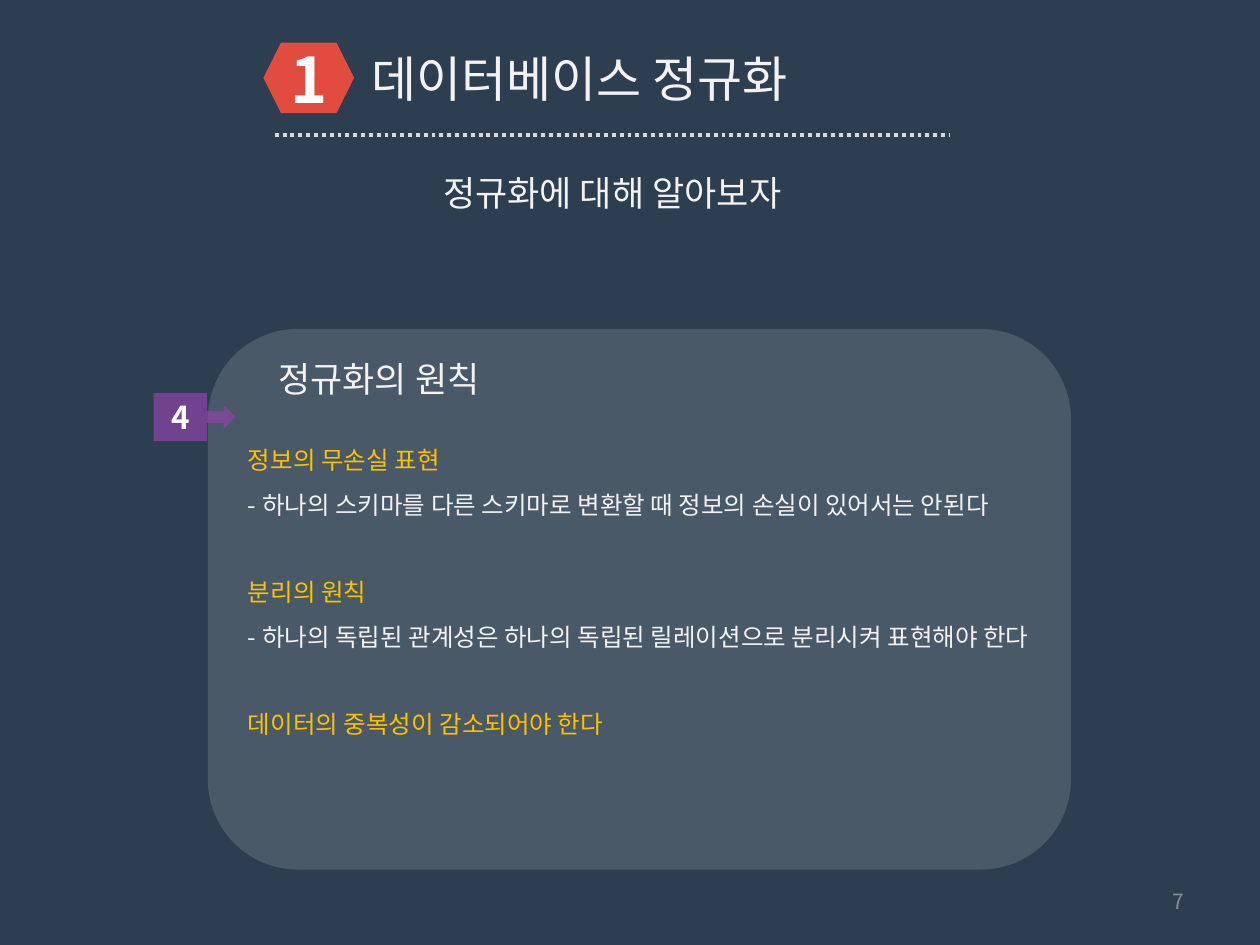
from lxml import etree
from pptx import Presentation
from pptx.dml.color import RGBColor
from pptx.enum.dml import MSO_LINE
from pptx.enum.shapes import MSO_CONNECTOR, MSO_SHAPE
from pptx.enum.text import MSO_ANCHOR, PP_ALIGN
from pptx.oxml.ns import qn
from pptx.util import Cm, Pt

LEFT, CENTER, RIGHT = PP_ALIGN.LEFT, PP_ALIGN.CENTER, PP_ALIGN.RIGHT
TOP, MIDDLE = MSO_ANCHOR.TOP, MSO_ANCHOR.MIDDLE
HEXAGON = MSO_SHAPE.HEXAGON
ROUNDED = MSO_SHAPE.ROUNDED_RECTANGLE
CALLOUT = MSO_SHAPE.RIGHT_ARROW_CALLOUT
STRAIGHT = MSO_CONNECTOR.STRAIGHT
DOTTED = MSO_LINE.ROUND_DOT

FONT = "Noto Sans CJK KR"
PALE, WHITE, GOLD = "F2F2F2", "FFFFFF", "FFC000"

PRINCIPLES = [
    ("정보의 무손실 표현", "- 하나의 스키마를 다른 스키마로 변환할 때 정보의 손실이 있어서는 안된다"),
    ("분리의 원칙", "- 하나의 독립된 관계성은 하나의 독립된 릴레이션으로 분리시켜 표현해야 한다"),
    ("데이터의 중복성이 감소되어야 한다", None),
]


def color(value):
    return RGBColor.from_string(value)


def style_paragraph(para, size, text_color, align=LEFT, bold=False):
    para.alignment = align
    font = para.font
    font.name, font.size, font.bold = FONT, Pt(size), bold
    font.color.rgb = color(text_color)
    defaults = para._p.pPr.find(qn("a:defRPr"))
    etree.SubElement(defaults, qn("a:ea")).set("typeface", FONT)


def write_line(frame, text, size, text_color, align=LEFT, bold=False, anchor=TOP):
    frame.word_wrap = True
    frame.vertical_anchor = anchor
    para = frame.paragraphs[0]
    para.text = text
    style_paragraph(para, size, text_color, align, bold)


def add_text_box(page, left, top, width, height):
    return page.shapes.add_textbox(Cm(left), Cm(top), Cm(width), Cm(height)).text_frame


def add_filled_shape(page, kind, left, top, width, height, fill, opacity=100):
    shape = page.shapes.add_shape(kind, Cm(left), Cm(top), Cm(width), Cm(height))
    shape.shadow.inherit = False
    shape.line.fill.background()
    shape.fill.solid()
    shape.fill.fore_color.rgb = color(fill)
    if opacity < 100:
        fill_color = shape._element.spPr.find(qn("a:solidFill"))[0]
        etree.SubElement(fill_color, qn("a:alpha")).set("val", str(opacity * 1000))
    return shape


def add_header(page, left, top, width):
    title = page.shapes.title
    title.left, title.top = Cm(left + 1.93), Cm(top)
    title.width, title.height = Cm(width), Cm(1.45)
    write_line(title.text_frame, "데이터베이스 정규화", 28, PALE)

    badge = add_filled_shape(page, HEXAGON, left, top, 1.83, 1.42, "E24C3F")
    write_line(badge.text_frame, "1", 36, WHITE, CENTER, True, MIDDLE)

    rule_left, rule_top = Cm(left + 0.23), Cm(top + 1.86)
    rule = page.shapes.add_connector(
        STRAIGHT, rule_left, rule_top, rule_left + Cm(13.61), rule_top)
    rule.line.color.rgb = color("D9D9D9")
    rule.line.width = Pt(2.25)
    rule.line.dash_style = DOTTED
    etree.SubElement(rule._element.spPr, qn("a:effectLst"))

    subtitle = add_text_box(page, left + 0.33, top + 2.47, width, 1.12)
    write_line(subtitle, "정규화에 대해 알아보자", 20, PALE, CENTER)


def add_principles(page, left, top, width, height):
    add_filled_shape(page, ROUNDED, left, top, width, height, WHITE, 14)
    heading = add_text_box(page, left + 1.17, top + 0.46, 12.22, 1.12)
    write_line(heading, "정규화의 원칙", 20, PALE)

    body = add_text_box(page, left + 0.56, top + 1.93, width - 0.94, 8.23)
    body.word_wrap = True
    for index, (name, detail) in enumerate(PRINCIPLES):
        para = body.add_paragraph() if index else body.paragraphs[0]
        para.text = name
        para.line_spacing = 1.5
        if index:
            para.space_before = Pt(25)
        style_paragraph(para, 14, GOLD)
        if detail:
            para = body.add_paragraph()
            para.text = detail
            para.line_spacing = 1.5
            style_paragraph(para, 14, PALE)

    marker = add_filled_shape(
        page, CALLOUT, left - 1.09, top + 1.29, 1.65, 0.97, "8F44AB", 70)
    write_line(marker.text_frame, "4", 18, WHITE, CENTER, True, MIDDLE)


def add_page_number(page, left, top, width, height):
    frame = add_text_box(page, left, top, width, height)
    write_line(frame, "7", 12, "8C8C8C", RIGHT, anchor=MIDDLE)


def main():
    deck = Presentation()
    deck.slide_width, deck.slide_height = Cm(25.4), Cm(19.05)
    page = deck.slides.add_slide(deck.slide_layouts[5])
    page.background.fill.solid()
    page.background.fill.fore_color.rgb = color("2D3E50")
    add_header(page, 5.31, 0.86, 13.41)
    add_principles(page, 4.19, 6.63, 17.4, 10.9)
    add_page_number(page, 18.21, 17.65, 5.92, 1.02)
    deck.save("out.pptx")


if __name__ == "__main__":
    main()
